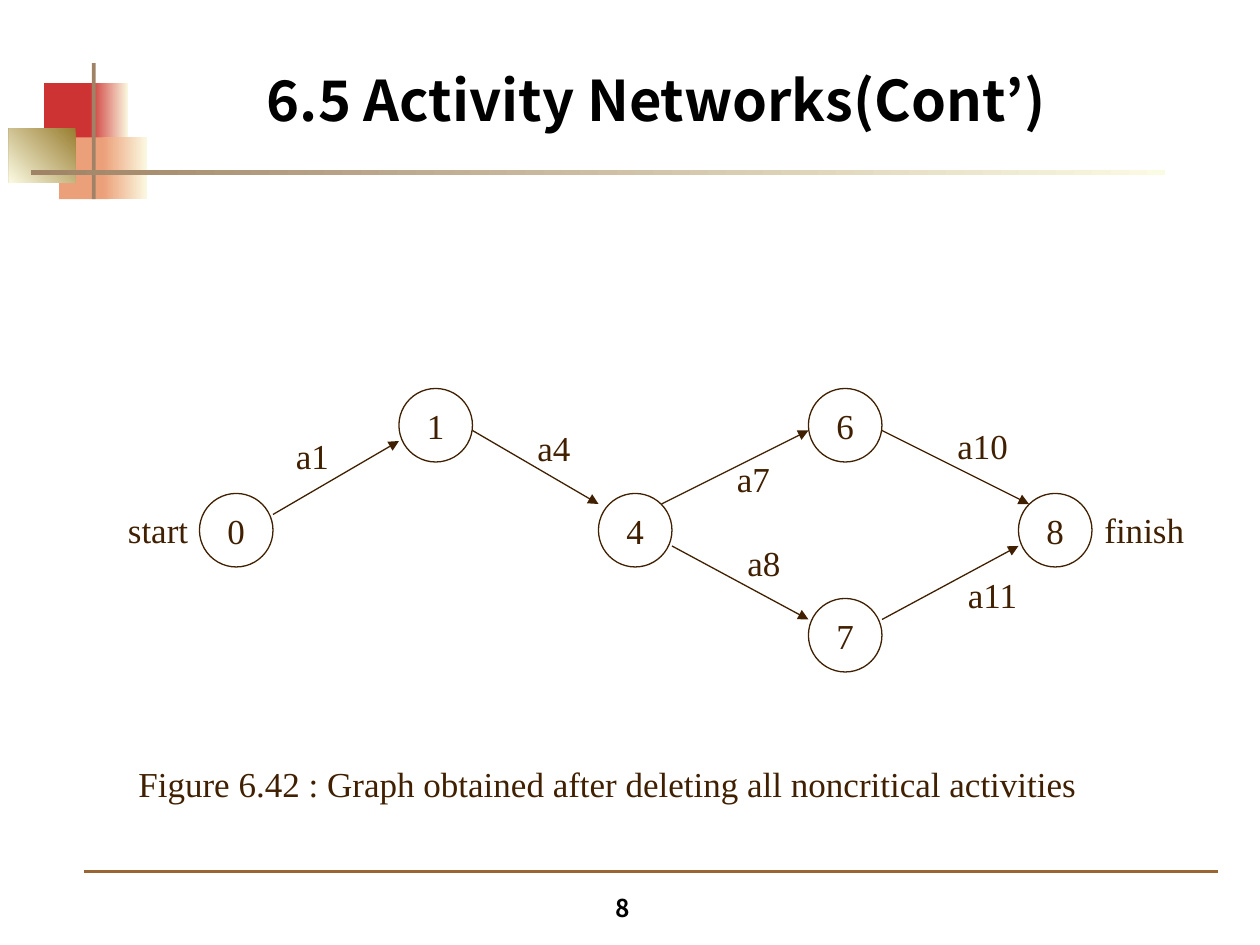
from lxml import etree
from pptx import Presentation
from pptx import util as u
from pptx.dml.color import RGBColor
from pptx.enum import shapes, text
from pptx.oxml.ns import qn

INK, CREAM = "402000", "FBFAE2"
SANS, SERIF = "Noto Sans CJK KR", "Times New Roman"
UNIT = 1 / 12
NODE_SIZE = 7

heading = "6.5 Activity Networks(Cont’)"
caption = "Figure 6.42 : Graph obtained after deleting all noncritical activities"
page_number = "8"

columns = [19, 38, 57, 77, 97]
rows = [37, 47, 57]
nodes = {"0": (0, 1), "1": (1, 0), "4": (2, 1), "6": (3, 0), "7": (3, 2), "8": (4, 1)}

# fmt: off
activities = [
    ("0", (7, 2), "1", (0, 5)),
    ("1", (7, 4), "4", (0, 1)),
    ("4", (7, 5), "7", (0, 2)),
    ("7", (7, 2), "8", (0, 5)),
    ("4", (6, 1), "6", (0, 4)),
    ("6", (7, 4), "8", (1, 1)),
]
labels = [
    ("a1", 27, 40.8, 7), ("a4", 50, 40, 7), ("a8", 70, 51, 7), ("a7", 69, 43, 7),
    ("a10", 90, 39.8, 9), ("a11", 91, 54, 9),
    ("finish", 104, 47.8, 10), ("start", 11, 47.8, 9), (caption, 12, 72, 102),
]
ornament = [
    (0.35, 0.66, 0.42, 0.49, ["CD3333"], 0),
    (0.71, 0.66, 0.31, 0.49, [CREAM, "CD3333"], 180),
    (0.47, 1.09, 0.40, 0.49, ["ECA07A"], 0),
    (0.82, 1.09, 0.35, 0.49, [CREAM, "ECA07A"], 180),
    (0.07, 1.02, 0.53, 0.43, ["9A7F32", CREAM], 225),
    (0.73, 0.50, 0.03, 1.08, ["A08366"], 0),
    (0.25, 1.35, 9.00, 0.04, [CREAM, "A08366"], 180),
]
# fmt: on

deck = Presentation()
deck.slide_width, deck.slide_height = u.Inches(10), u.Inches(7.5)
slide = deck.slides.add_slide(deck.slide_layouts[6])


def color(value):
    return RGBColor.from_string(value)


def inches(*lengths):
    return [u.Inches(length) for length in lengths]


def grid(*lengths):
    return inches(*(length * UNIT for length in lengths))


def write(holder, words, size=20, font=SERIF, ink=INK, bold=False,
          align=text.PP_ALIGN.LEFT, anchor=text.MSO_ANCHOR.TOP, wrap=True):
    frame = holder.text_frame
    frame.word_wrap, frame.vertical_anchor = wrap, anchor
    paragraph = frame.paragraphs[0]
    paragraph.alignment = align
    run = paragraph.add_run()
    run.text = words
    run.font.size, run.font.name, run.font.bold = u.Pt(size), font, bold
    run.font.color.rgb = color(ink)
    east_asian = etree.SubElement(run.font._element, qn("a:ea"))
    east_asian.set("typeface", font)


def add_line(start, end, ink, width, arrow=False):
    line = slide.shapes.add_connector(
        shapes.MSO_CONNECTOR.STRAIGHT, *grid(*start), *grid(*end))
    line.line.color.rgb, line.line.width = color(ink), u.Pt(width)
    if arrow:
        etree.SubElement(line.line._get_or_add_ln(), qn("a:tailEnd"), type="triangle")
    etree.SubElement(line._element.spPr, qn("a:effectLst"))


def add_block(left, top, width, height, stops, angle):
    block = slide.shapes.add_shape(
        shapes.MSO_SHAPE.RECTANGLE, *inches(left, top, width, height))
    block.shadow.inherit = False
    block.line.fill.background()
    if len(stops) == 1:
        block.fill.solid()
        block.fill.fore_color.rgb = color(stops[0])
        return
    block.fill.gradient()
    block.fill.gradient_angle = angle
    for position, (stop, value) in enumerate(zip(block.fill.gradient_stops, stops)):
        stop.position, stop.color.rgb = position, color(value)


def corner(node, offset=(0, 0)):
    column, row = nodes[node]
    return columns[column] + offset[0], rows[row] + offset[1]


add_line((8, 83), (116, 83), "996633", 1.5)
for block in ornament:
    add_block(*block)

title = slide.shapes.add_textbox(*inches(0.75, 0.25, 8.92, 1.08))
write(title, heading, size=32, font=SANS, ink="000000", bold=True,
      align=text.PP_ALIGN.CENTER, anchor=text.MSO_ANCHOR.MIDDLE)

for name in nodes:
    circle = slide.shapes.add_shape(
        shapes.MSO_SHAPE.OVAL, *grid(*corner(name), NODE_SIZE, NODE_SIZE))
    circle.shadow.inherit = False
    circle.fill.background()
    circle.line.color.rgb, circle.line.width = color(INK), u.Pt(0.75)
    write(circle, name, align=text.PP_ALIGN.CENTER,
          anchor=text.MSO_ANCHOR.MIDDLE, wrap=False)

for source, leave, target, arrive in activities:
    add_line(corner(source, leave), corner(target, arrive), INK, 0.75, arrow=True)

for words, left, top, width in labels:
    write(slide.shapes.add_textbox(*grid(left, top, width, 5.25)), words)

footer = slide.shapes.add_textbox(*inches(4.54, 6.98, 0.8, 0.39))
write(footer, page_number, size=14, font=SANS, ink="000000", bold=True,
      align=text.PP_ALIGN.CENTER, anchor=text.MSO_ANCHOR.BOTTOM)

deck.save("out.pptx")
